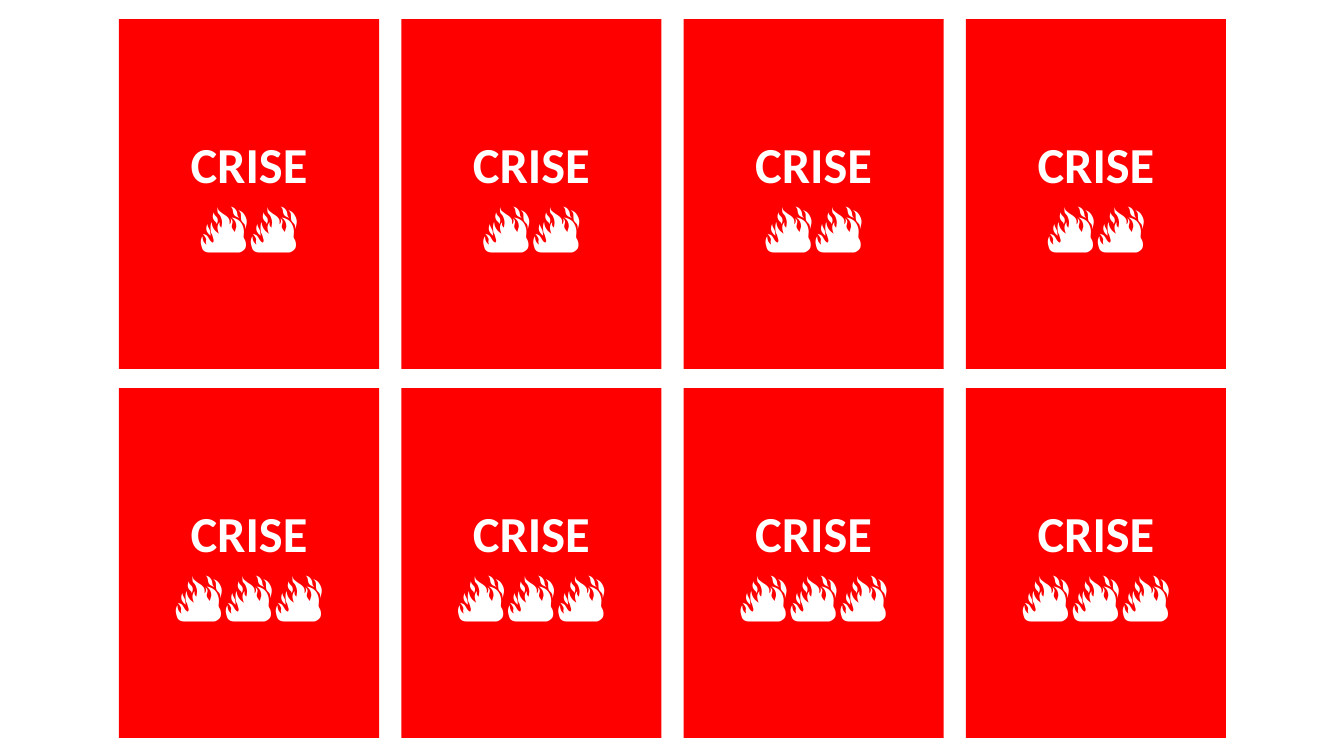
from itertools import product

from pptx import Presentation
from pptx.dml.color import RGBColor
from pptx.enum.shapes import MSO_SHAPE as Shape
from pptx.enum.text import MSO_ANCHOR as Anchor, PP_ALIGN as Align
from pptx.util import Inches, Pt

RED = RGBColor(0xFF, 0x00, 0x00)
WHITE = RGBColor(0xFF, 0xFF, 0xFF)

LEFT, TOP = 1.18, 0.19
CARD_WIDTH, CARD_HEIGHT = 2.58, 3.47
COLUMN_STEP, ROW_STEP = 2.8, 3.66
COLUMNS = 4
FLAMES_PER_ROW = (2, 3)


def add_crisis_card(page, left, top, width, height, flames):
    """Draw a red crisis card with its severity shown in flames."""
    card = page.shapes.add_shape(
        Shape.RECTANGLE, Inches(left), Inches(top), Inches(width), Inches(height)
    )
    card.shadow.inherit = False
    card.fill.solid()
    card.fill.fore_color.rgb = RED
    card.line.fill.background()

    frame = card.text_frame
    frame.word_wrap = True
    frame.vertical_anchor = Anchor.MIDDLE
    frame.text = "CRISE\n" + "🔥" * flames
    for para in frame.paragraphs:
        para.alignment = Align.CENTER
        para.font.name = "Calibri"
        para.font.size = Pt(36)
        para.font.bold = True
        para.font.color.rgb = WHITE


def add_card_sheet(page, left, top):
    """Lay out the cards in columns, with one severity per row."""
    for column, (row, flames) in product(range(COLUMNS), enumerate(FLAMES_PER_ROW)):
        add_crisis_card(
            page,
            left + column * COLUMN_STEP,
            top + row * ROW_STEP,
            CARD_WIDTH,
            CARD_HEIGHT,
            flames,
        )


def main():
    """Build and save the sheet of crisis cards."""
    deck = Presentation()
    deck.slide_width = Inches(13.33)
    deck.slide_height = Inches(7.5)
    page = deck.slides.add_slide(deck.slide_layouts[6])
    add_card_sheet(page, LEFT, TOP)
    deck.save("out.pptx")


if __name__ == "__main__":
    main()
